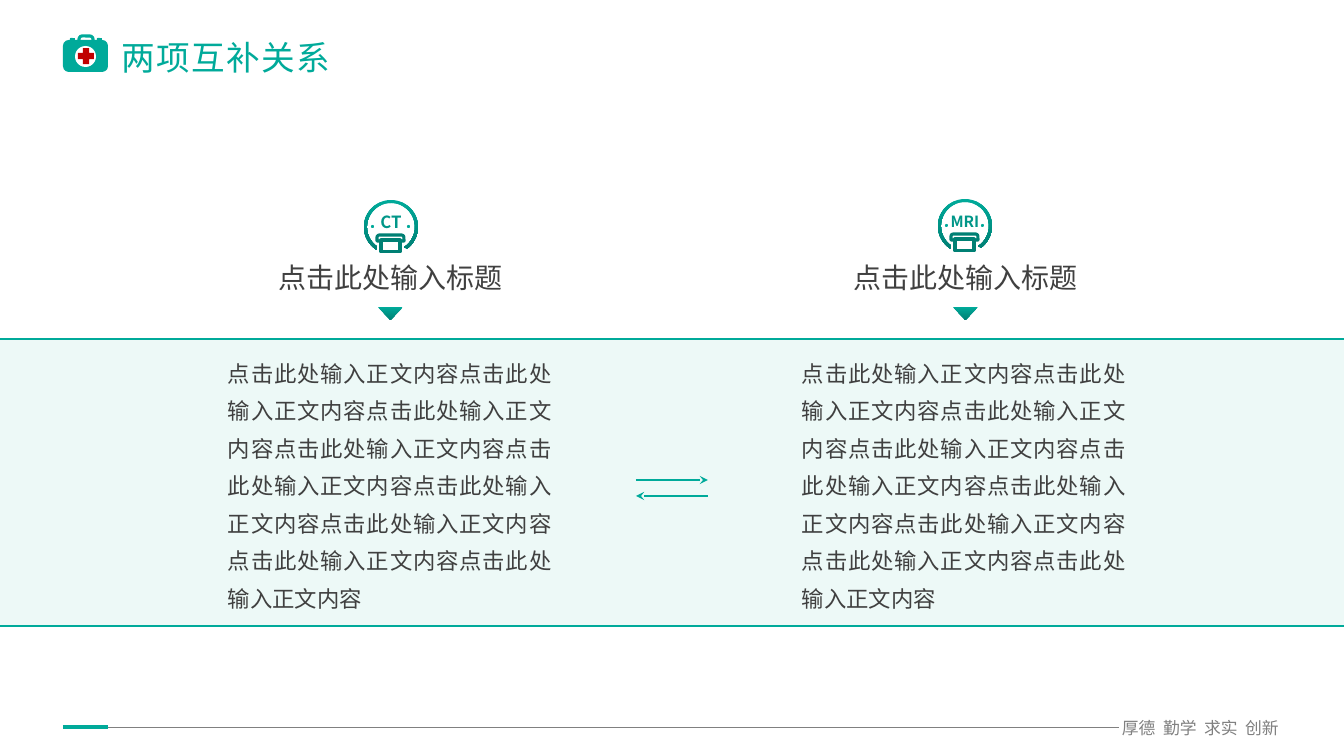
from math import cos, radians, sin

from lxml import etree
from pptx import Presentation
from pptx import util as u
from pptx.dml import color
from pptx.enum import shapes, text
from pptx.oxml import ns

PX = 914400 / 100.8
FACE = "Noto Sans CJK JP"
TEAL, DEEP, DARK, GRAY = "00AA9A", "008074", "404040", "808080"
Kind, Align, Mid = shapes.MSO_SHAPE, text.PP_ALIGN, text.MSO_ANCHOR
rgb = color.RGBColor.from_string

deck = Presentation()
deck.slide_width, deck.slide_height = round(1344 * PX), round(756 * PX)
slide = deck.slides.add_slide(deck.slide_layouts[6])
items = slide.shapes


def draw(kind, box, fill=None, line=None):
    item = items.add_shape(kind, *[round(n * PX) for n in box])
    item.shadow.inherit = False
    if fill:
        item.fill.solid()
        item.fill.fore_color.rgb = rgb(fill)
    else:
        item.fill.background()
    if line:
        item.line.color.rgb = rgb(line)
        item.line.width = u.Pt(2.25)
    else:
        item.line.fill.background()
    return item


def write(item, words, size, tint, align=Align.CENTER, anchor=Mid.MIDDLE):
    frame = item.text_frame
    frame.word_wrap = True
    frame.vertical_anchor = anchor
    frame.margin_left = frame.margin_right = 0
    frame.margin_top = frame.margin_bottom = 0
    frame.text = words
    par = frame.paragraphs[0]
    par.alignment = align
    run = par.runs[0]
    run.font.size = u.Pt(size)
    run.font.name = FACE
    run.font.color.rgb = rgb(tint)
    etree.SubElement(run.font._element, ns.qn("a:ea"), typeface=FACE)
    return par


band = draw(Kind.RECTANGLE, (0, 339, 1344, 288), TEAL)
tone = band.fill._xPr.find(".//" + ns.qn("a:srgbClr"))
etree.SubElement(tone, ns.qn("a:alpha"), val="7000")

for x1, x2, y, tint, wide, head in (
    (63, 1119, 727, GRAY, 0.5, False),
    (63, 108, 727, TEAL, 3, False),
    (0, 1344, 339, TEAL, 0.75, False),
    (0, 1344, 626, TEAL, 0.75, False),
    (636, 708, 480, TEAL, 1.5, True),
    (708, 636, 496, TEAL, 1.5, True),
):
    ends = [round(n * PX) for n in (x1, y, x2, y)]
    rule = items.add_connector(shapes.MSO_CONNECTOR.STRAIGHT, *ends)
    rule.line.color.rgb = rgb(tint)
    rule.line.width = u.Pt(wide)
    if head:
        etree.SubElement(rule.line._get_or_add_ln(), ns.qn("a:tailEnd"), type="stealth")
    etree.SubElement(rule._element.spPr, ns.qn("a:effectLst"))

grip = draw(Kind.ROUNDED_RECTANGLE, (79, 36, 14, 8), line=TEAL)
grip.adjustments[0] = 0.4
case = draw(Kind.ROUNDED_RECTANGLE, (63, 40, 45, 32), TEAL)
case.adjustments[0] = 0.18
for x in (70, 97):
    draw(Kind.ROUNDED_RECTANGLE, (x, 38, 5, 4), TEAL)
draw(Kind.OVAL, (75, 46, 21, 21), "FFFFFF")
cross = draw(Kind.CROSS, (78, 48, 16, 16), "C00000")
cross.adjustments[0] = 0.31

box = items.add_textbox(*[round(n * PX) for n in (122, 32, 873, 51)])
title = write(box, "两项互补关系", 24, TEAL, Align.LEFT)
title.runs[0].font._element.set("spc", "100")
box = items.add_textbox(*[round(n * PX) for n in (1118, 718, 165, 20)])
write(box, "厚德  勤学  求实  创新", 12, GRAY)

for col, (label, size) in enumerate((("CT", 12), ("MRI", 11))):
    mid = 390 + 575 * col
    left = 228 + 574 * col
    hub = 391 + 574 * col
    top = 199 - col
    eye = top + 28
    rim = [(27, a) for a in range(123, 418, 5)] + [(24, a) for a in range(417, 122, -5)]
    spots = [
        (round((hub + r * cos(radians(a))) * PX), round((eye + r * sin(radians(a))) * PX))
        for r, a in rim
    ]
    path = items.build_freeform(*spots[0])
    path.add_line_segments(spots[1:])
    ring = path.convert_to_shape()
    ring.shadow.inherit = False
    ring.line.fill.background()
    arrow = draw(Kind.FLOWCHART_MERGE, (mid - 12, 307, 25, 13), TEAL)
    for item in (ring, arrow):
        item.fill.gradient()
        item.fill.gradient_angle = 270
        for stop, tint in zip(item.fill.gradient_stops, (TEAL, DEEP)):
            stop.color.rgb = rgb(tint)

    for x in (-20, 16):
        draw(Kind.OVAL, (hub + x, eye - 2, 3, 3), TEAL)
    bed = draw(Kind.ROUND_2_SAME_RECTANGLE, (hub - 14, top + 36, 27, 6), line=DEEP)
    bed.adjustments[0] = 0.4
    draw(Kind.RECTANGLE, (hub - 10, top + 41, 19, 12), "FFFFFF", DEEP)
    box = items.add_textbox(*[round(n * PX) for n in (hub - 20, top + 13, 40, 20)])
    mark = write(box, label, size, "009688")
    mark.runs[0].font.bold = True

    plate = draw(Kind.ROUNDED_RECTANGLE, (mid - 139, 254, 279, 47))
    plate.adjustments[0] = 0
    write(plate, "点击此处输入标题", 20, DARK)
    box = items.add_textbox(*[round(n * PX) for n in (left, 344, 324, 288)])
    body = write(box, "点击此处输入正文内容" * 9, 16, DARK, Align.JUSTIFY, Mid.TOP)
    body.line_spacing = 1.4
    box.text_frame.margin_top = box.text_frame.margin_bottom = u.Inches(0.05)

deck.save("out.pptx")
